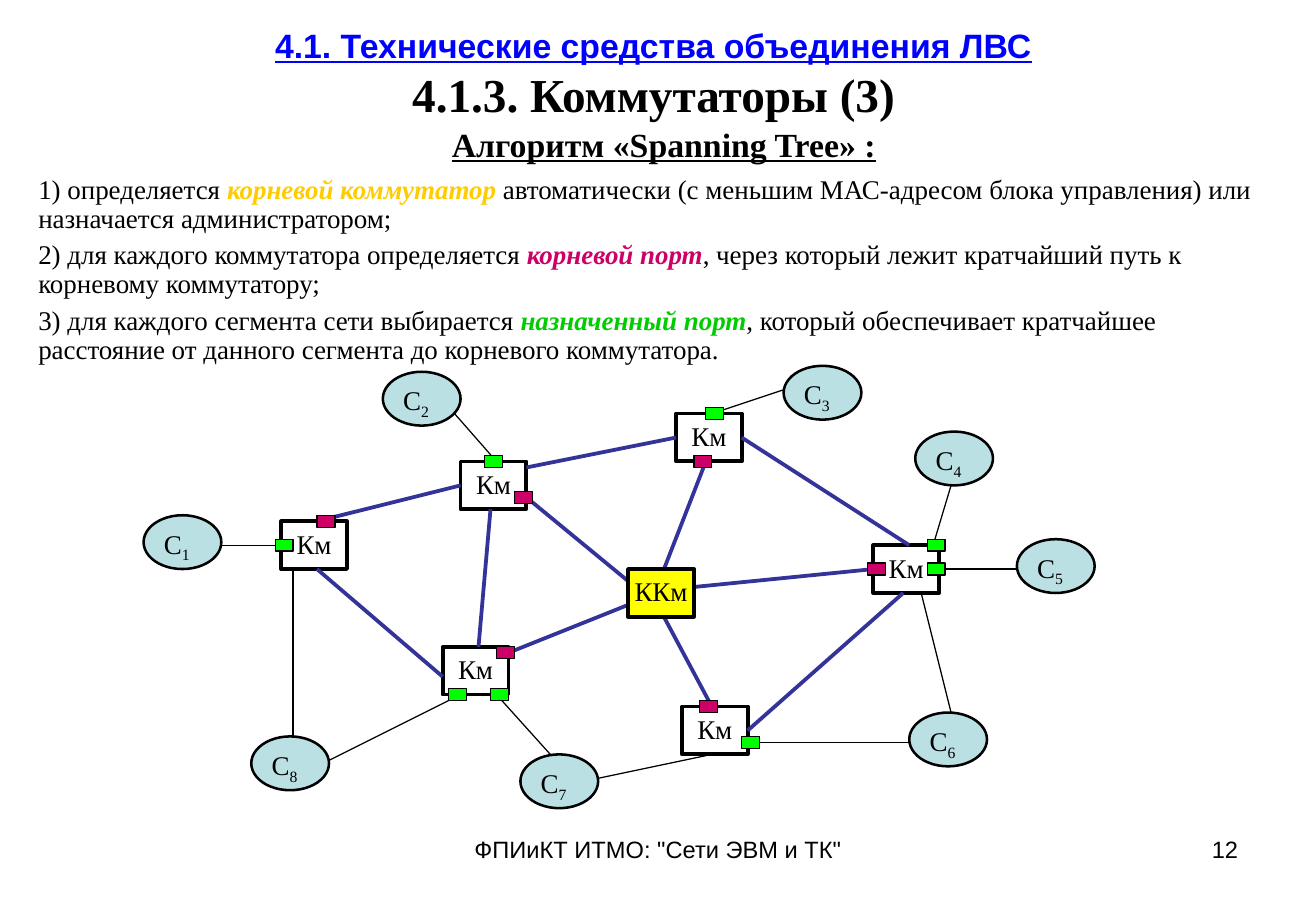
from typing import NamedTuple

from lxml.etree import SubElement
from pptx import Presentation
from pptx.dml.color import RGBColor
from pptx.enum.shapes import MSO_CONNECTOR, MSO_SHAPE
from pptx.enum.text import MSO_ANCHOR, MSO_AUTO_SIZE, PP_ALIGN
from pptx.oxml.ns import qn
from pptx.util import Emu, Inches, Pt

WIDTH, HEIGHT = Inches(10.83), Inches(7.5)
COLUMN, ROW = WIDTH / 220, HEIGHT / 152.4
TOP = Inches(0.01)
SERIF, SANS = "Times New Roman", "Arial"
BLACK, TRUNK, GREEN, CRIMSON = "000000", "333399", "00FF00", "CC0066"
TIGHT, LABEL, PLAIN = (0.02, 0.01), (0.02, 0.05), (0.1, 0.05)


class Area(NamedTuple):
    col: float
    row: float
    cols: float
    rows: float


class Span(NamedTuple):
    text: str
    color: str = BLACK
    size: float = 16
    face: str = SERIF
    style: dict = {}


class Link(NamedTuple):
    start: tuple
    end: tuple


def x(col: float) -> Emu:
    return Emu(round(col * COLUMN))


def y(row: float) -> Emu:
    return Emu(round(TOP + row * ROW))


def place(area: Area) -> tuple:
    return x(area.col), y(area.row), x(area.cols), Emu(round(area.rows * ROW))


def rgb(value: str) -> RGBColor:
    return RGBColor.from_string(value)


def write(paragraph, spans: list, align=PP_ALIGN.LEFT, spacing: float = 1) -> None:
    paragraph.alignment, paragraph.line_spacing = align, spacing
    for span in spans:
        run = paragraph.add_run()
        run.text = span.text
        run.font.color.rgb = rgb(span.color)
        values = {"name": span.face, "size": Pt(span.size), "bold": False} | span.style
        for name, value in values.items():
            setattr(run.font, name, value)


def set_frame(frame, insets: tuple, anchor=MSO_ANCHOR.TOP) -> None:
    side, edge = map(Inches, insets)
    values = {"margin_left": side, "margin_right": side, "margin_top": edge,
              "margin_bottom": edge, "word_wrap": True, "vertical_anchor": anchor,
              "auto_size": MSO_AUTO_SIZE.NONE}
    for name, value in values.items():
        setattr(frame, name, value)


def add_text(area: Area, spans: list, insets: tuple, align=PP_ALIGN.LEFT, spacing: float = 1):
    box = slide.shapes.add_textbox(*place(area))
    set_frame(box.text_frame, insets)
    write(box.text_frame.paragraphs[0], spans, align, spacing)
    return box


def add_figure(kind, area: Area, fill: str, weight: float):
    figure = slide.shapes.add_shape(kind, *place(area))
    figure.shadow.inherit = False
    if fill:
        figure.fill.solid()
        figure.fill.fore_color.rgb = rgb(fill)
    else:
        figure.fill.background()
    figure.line.color.rgb = rgb(BLACK)
    figure.line.width = Pt(weight)
    return figure


def add_switch(col: float, row: float, name: str = "Км", fill: str = "") -> None:
    switch = add_figure(MSO_SHAPE.RECTANGLE, Area(col, row, 11, 8), fill, 2.25)
    set_frame(switch.text_frame, LABEL)
    write(switch.text_frame.paragraphs[0], [Span(name)], PP_ALIGN.CENTER)
    middles = [(col + 5.5, row), (col, row + 4), (col + 5.5, row + 8), (col + 11, row + 4)]
    for site, point in enumerate(middles):
        sites[point] = (switch, site)


def add_link(link: Link, color: str, weight: float) -> None:
    (col1, row1), (col2, row2) = link
    line = slide.shapes.add_connector(MSO_CONNECTOR.STRAIGHT, x(col1), y(row1), x(col2), y(row2))
    line.line.color.rgb = rgb(color)
    line.line.width = Pt(weight)
    SubElement(line._element.spPr, qn("a:effectLst"))
    for point, join in ((link.start, line.begin_connect), (link.end, line.end_connect)):
        if point in sites:
            join(*sites[point])


presentation = Presentation()
presentation.slide_width, presentation.slide_height = WIDTH, HEIGHT
slide = presentation.slides.add_slide(presentation.slide_layouts[5])
sites: dict = {}

# Title
title = slide.shapes.title
title.left, title.top, title.width, title.height = place(Area(3, 2.5, 212.5, 19))
set_frame(title.text_frame, PLAIN, MSO_ANCHOR.MIDDLE)
write(title.text_frame.paragraphs[0],
      [Span("4.1. Технические средства объединения ЛВС", "0000FF", 20, SANS,
            {"bold": True, "underline": True})], PP_ALIGN.CENTER)
write(title.text_frame.add_paragraph(),
      [Span("4.1.3. Коммутаторы (3)", BLACK, 28, SERIF, {"bold": True})], PP_ALIGN.CENTER)

# Algorithm and its steps
add_text(Area(6, 21, 210, 6.5),
         [Span("Алгоритм «Spanning Tree» :", size=20, style={"bold": True, "underline": True})],
         TIGHT, PP_ALIGN.CENTER, 0.9)
STEPS = [
    (210, "1) определяется ", "корневой коммутатор ", "FFCC00",
     "автоматически (с меньшим МАС-адресом блока управления) или назначается администратором;"),
    (210, "2) для каждого коммутатора определяется ", "корневой порт", CRIMSON,
     ", через который лежит кратчайший путь к корневому коммутатору;"),
    (199, "3) для каждого сегмента сети выбирается ", "назначенный порт", "00CC00",
     ", который обеспечивает кратчайшее расстояние от данного сегмента до корневого коммутатора."),
]
for index, (cols, opening, term, color, ending) in enumerate(STEPS):
    spans = [Span(opening), Span(term, color, style={"bold": True, "italic": True}), Span(ending)]
    add_text(Area(6, 29 + 11 * index, cols, 10.5), spans, TIGHT, spacing=0.9)

# Switches and the links between them
for corner in [(47, 87), (74, 108), (77, 77), (113, 69), (114, 118), (146, 91)]:
    add_switch(*corner)
TRUNKS = [
    Link((88, 83), (105, 97)), Link((53, 87), (77, 81)), Link((53, 95), (74, 113)),
    Link((88, 78), (113, 73)), Link((82, 85), (80, 108)), Link((85, 109), (105, 101)),
    Link((111, 103), (119, 118)), Link((124, 73), (152, 91)), Link((116, 98), (146, 95)),
    Link((125, 122), (151, 99)), Link((118, 77), (111, 95)),
]
for trunk in TRUNKS:
    add_link(trunk, TRUNK, 2.25)

# Segments C1 to C8 and their links
SEGMENTS = [(24, 86), (64, 62), (131, 61), (153, 72), (170, 90), (152, 119), (87, 126), (42, 123)]
for number, (col, row) in enumerate(SEGMENTS, 1):
    add_figure(MSO_SHAPE.OVAL, Area(col, row, 13, 9), "BBE0E3", 1.5)
    label = add_text(Area(col + 3, row + 1, 8, 7.5), [Span("С"), Span(str(number))], LABEL)
    label.text_frame.paragraphs[0].runs[1].font._element.set("baseline", "-25000")
BRANCHES = [
    Link((37, 91), (47, 91)), Link((76, 69), (83, 77)), Link((119, 69), (131, 65)),
    Link((156, 91), (159, 81)), Link((157, 95), (170, 95)), Link((77, 116), (55, 127)),
    Link((119, 126), (100, 130)), Link((125, 124), (152, 124)), Link((154, 99), (159, 119)),
    Link((49, 123), (49, 95)), Link((83, 116), (92, 126)),
]
for branch in BRANCHES:
    add_link(branch, BLACK, 0.75)

# Root switch, designated ports and root ports
add_switch(105, 95, "ККм", "FFFF00")
PORTS = {
    GREEN: [(46, 90), (81, 76), (118, 68), (155, 90), (155, 94), (124, 123), (75, 115), (82, 115)],
    CRIMSON: [(53, 86), (86, 82), (116, 76), (145, 94), (117, 117), (83, 108)],
}
for color, corners in PORTS.items():
    for corner in corners:
        add_figure(MSO_SHAPE.RECTANGLE, Area(*corner, 3, 2), color, 0.75)

# Footer and page number
add_text(Area(75, 138.5, 70, 10.5), [Span('ФПИиКТ ИТМО: "Сети ЭВМ и ТК"', size=14, face=SANS)],
         PLAIN, PP_ALIGN.CENTER)
add_text(Area(157.5, 138.5, 51.5, 10.5), [Span("12", size=14, face=SANS)], PLAIN, PP_ALIGN.RIGHT)

presentation.save("out.pptx")
